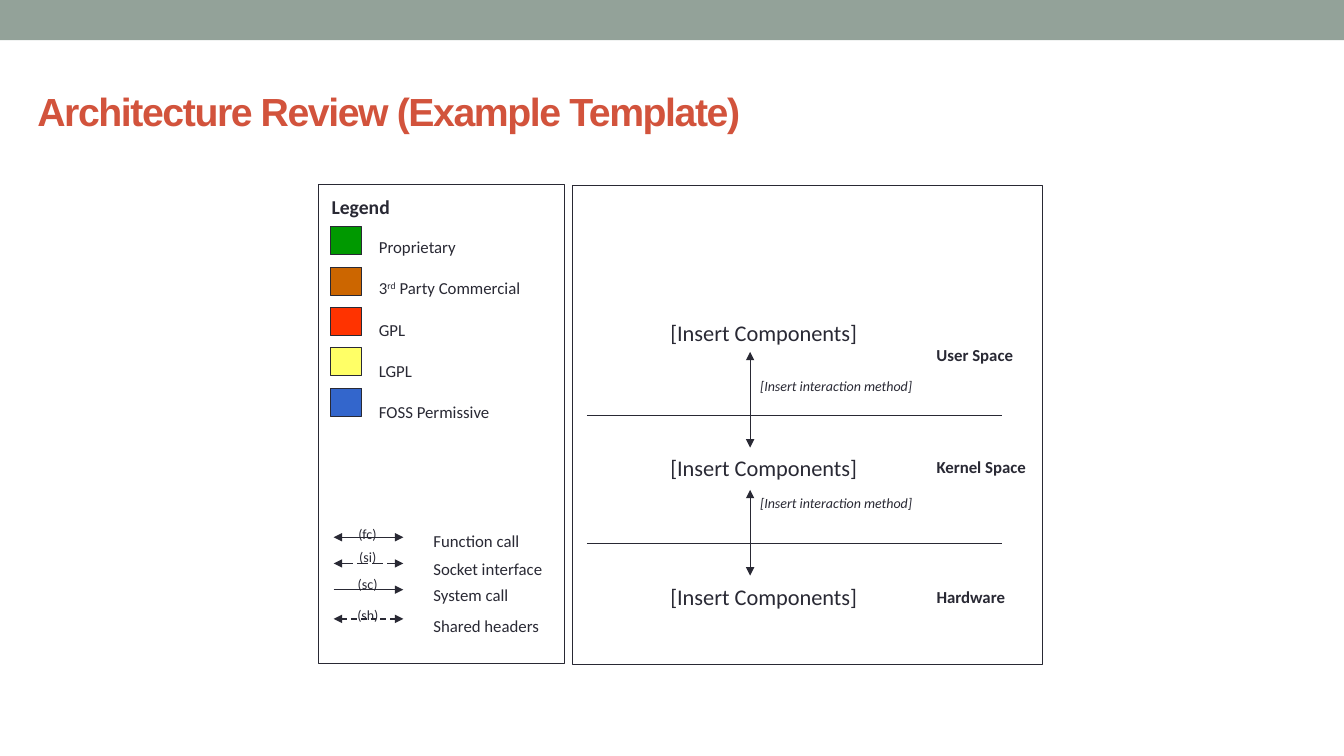
from lxml import etree
from pptx import Presentation
from pptx.dml.color import RGBColor
from pptx.enum.dml import MSO_LINE
from pptx.enum.shapes import MSO_CONNECTOR, MSO_SHAPE
from pptx.enum.text import MSO_ANCHOR, MSO_AUTO_SIZE, PP_ALIGN
from pptx.oxml.ns import qn
from pptx.util import Inches, Pt

COLORS = {
    "band": "93A299", "title": "D2533C", "ink": "292934",
    "proprietary": "009900", "commercial": "CC6600", "gpl": "FF3300",
    "lgpl": "FFFF66", "permissive": "3366CC",
}


def color(name):
    return RGBColor.from_string(COLORS[name])


def add_rect(page, left, top, width, height, fill=None, line_width=None):
    rect = page.shapes.add_shape(MSO_SHAPE.RECTANGLE, Inches(left), Inches(top),
                                 Inches(width), Inches(height))
    rect.shadow.inherit = False
    if fill:
        rect.fill.solid()
        rect.fill.fore_color.rgb = color(fill)
    else:
        rect.fill.background()
    if line_width:
        rect.line.color.rgb = color("ink")
        rect.line.width = Pt(line_width)
    else:
        rect.line.fill.background()


def add_label(page, left, top, width, spans, size=12, bold=False, italic=False):
    """Place one line of text; spans is a list of (text, is_superscript)."""
    height = {10: 0.27, 12: 0.3, 14: 0.34, 16: 0.37}[size]
    box = page.shapes.add_textbox(Inches(left), Inches(top), Inches(width), Inches(height))
    frame = box.text_frame
    frame.word_wrap = False
    frame.auto_size = MSO_AUTO_SIZE.SHAPE_TO_FIT_TEXT
    if isinstance(spans, str):
        spans = [(spans, False)]
    for text, superscript in spans:
        span = frame.paragraphs[0].add_run()
        span.text = text
        font = span.font
        font.name, font.size = "Calibri", Pt(size)
        font.bold, font.italic = bold, italic
        font.color.rgb = color("ink")
        if superscript:
            span._r.get_or_add_rPr().set("baseline", "30000")


def add_line(page, start, end, width=1, dash=None, arrows=()):
    """Draw a line; arrows names the ends that get a triangle."""
    line = page.shapes.add_connector(MSO_CONNECTOR.STRAIGHT, *map(Inches, start + end))
    line.line.color.rgb = color("ink")
    line.line.width = Pt(width)
    if dash:
        line.line.dash_style = dash
    for arrow in arrows:
        etree.SubElement(line.line._get_or_add_ln(), qn(f"a:{arrow}"), type="triangle")
    etree.SubElement(line._element.spPr, qn("a:effectLst"))


def add_title(page, left, top, width, height):
    title = page.shapes.title
    title.left, title.top = Inches(left), Inches(top)
    title.width, title.height = Inches(width), Inches(height)
    frame = title.text_frame
    frame.text = "Architecture Review (Example Template)"
    frame.vertical_anchor = MSO_ANCHOR.MIDDLE
    para = frame.paragraphs[0]
    para.alignment = PP_ALIGN.LEFT
    span = para.runs[0]
    span.font.name, span.font.size, span.font.bold = "Arial", Pt(28), True
    span.font.color.rgb = color("title")
    span._r.get_or_add_rPr().set("spc", "-100")


def add_legend(page, left, top, width, height):
    add_rect(page, left, top, width, height, line_width=1)
    add_label(page, left + 0.03, top + 0.05, 0.78, "Legend", size=14, bold=True)

    licenses = [
        ("proprietary", "Proprietary", 0.97),
        ("commercial", [("3", False), ("rd", True), (" Party Commercial", False)], 1.62),
        ("gpl", "GPL", 0.46),
        ("lgpl", "LGPL", 0.53),
        ("permissive", "FOSS Permissive", 1.31),
    ]
    for row, (fill, name, name_width) in enumerate(licenses):
        add_rect(page, left + 0.12, top + 0.42 + 0.4 * row, 0.31, 0.28, fill, 0.75)
        add_label(page, left + 0.5, top + 0.47 + 0.41 * row, name_width, name)

    both = ("headEnd", "tailEnd")
    calls = [  # line, code and name offsets from the top of the legend
        (3.5, 3.33, 3.39, "(fc)", 0.39, "Function call", 1.06, None, both),
        (3.76, 3.56, 3.66, "(si)", 0.37, "Socket interface", 1.3, MSO_LINE.LONG_DASH, both),
        (4.02, 3.83, 3.92, "(sc)", 0.4, "System call", 0.96, None, both[1:]),
        (4.31, 4.14, 4.23, "(sh)", 0.41, "Shared headers", 1.26, MSO_LINE.DASH, both),
    ]
    for line_y, code_y, name_y, code, code_width, name, name_width, dash, arrows in calls:
        add_line(page, (left + 0.15, top + line_y), (left + 0.84, top + line_y),
                 dash=dash, arrows=arrows)
        add_label(page, left + 0.49 - code_width / 2, top + code_y, code_width, code, size=10)
        add_label(page, left + 1.04, top + name_y, name_width, name)


def add_architecture(page, left, top, width, height):
    add_rect(page, left, top, width, height, line_width=1)

    layers = [("User Space", 0.96, 1.53, 1.28), ("Kernel Space", 1.09, 2.64, 2.62),
              ("Hardware", 0.89, 3.93, 3.9)]
    for name, name_width, name_y, components_y in layers:
        add_label(page, left + 3.51, top + name_y, name_width, name, bold=True)
        add_label(page, left + 0.87, top + components_y, 2.06, "[Insert Components]", size=16)

    axis = left + 1.76
    boundaries = [(2.28, 1.65, 2.6, 1.86), (3.55, 3.02, 3.87, 3.02)]
    for divider_y, arrow_top, arrow_bottom, method_y in boundaries:
        add_line(page, (left + 0.14, top + divider_y), (left + 4.26, top + divider_y))
        add_line(page, (axis, top + arrow_top), (axis, top + arrow_bottom),
                 width=0.75, arrows=("headEnd", "tailEnd"))
        add_label(page, axis, top + method_y, 1.73, "[Insert interaction method]",
                  size=10, italic=True)


def main():
    deck = Presentation()
    deck.slide_width, deck.slide_height = Inches(13.33), Inches(7.5)
    page = deck.slides.add_slide(deck.slide_layouts[5])
    add_rect(page, 0, 0, 13.33, 0.4, fill="band")
    add_title(page, 0.27, 0.56, 12, 1.08)
    add_legend(page, 3.16, 1.83, 2.44, 4.75)
    add_architecture(page, 5.68, 1.84, 4.66, 4.75)
    deck.save("out.pptx")


if __name__ == "__main__":
    main()
